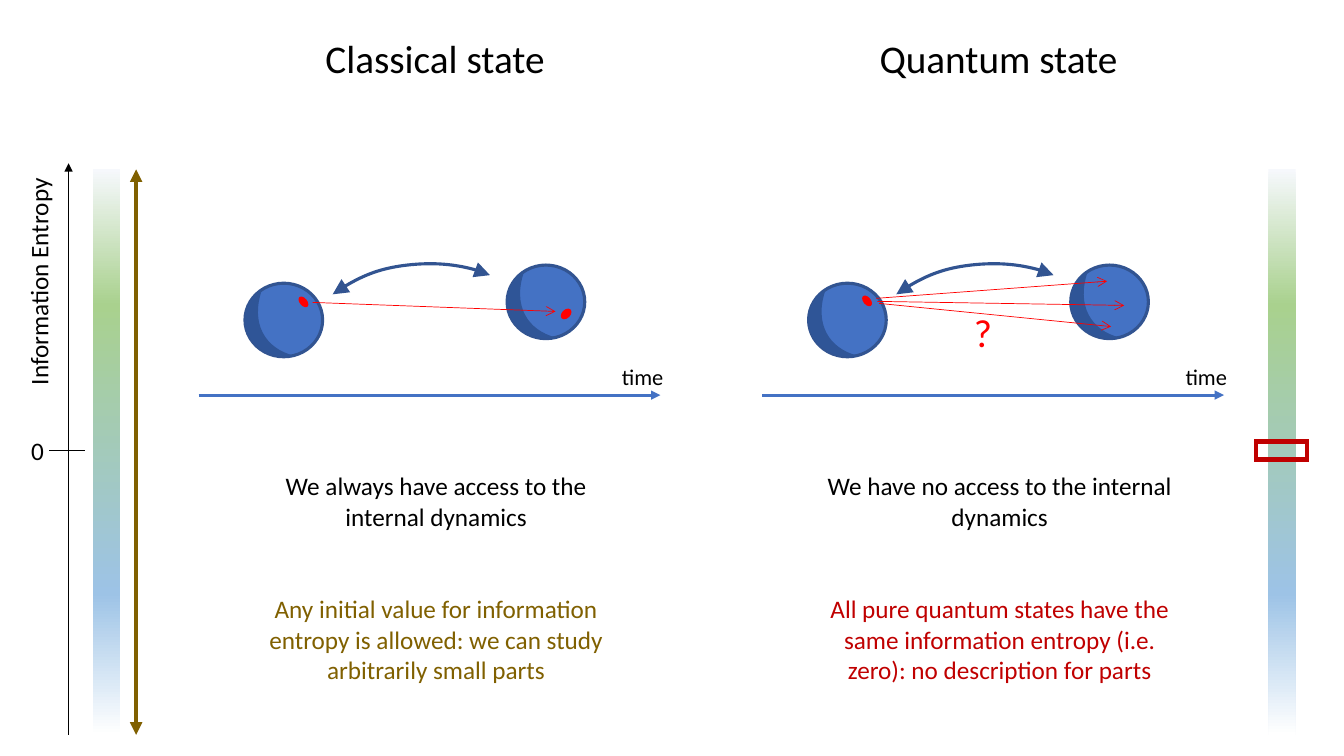
from dataclasses import dataclass

from lxml import etree
from pptx import Presentation
from pptx.dml.color import RGBColor
from pptx.enum.shapes import MSO_CONNECTOR, MSO_SHAPE
from pptx.enum.text import MSO_AUTO_SIZE, PP_ALIGN
from pptx.oxml.ns import qn
from pptx.util import Inches, Pt

RECT, OVAL = MSO_SHAPE.RECTANGLE, MSO_SHAPE.OVAL
STRAIGHT = MSO_CONNECTOR.STRAIGHT
LEFT, CENTER = PP_ALIGN.LEFT, PP_ALIGN.CENTER
GROW = MSO_AUTO_SIZE.SHAPE_TO_FIT_TEXT


@dataclass(frozen=True)
class Theme:
    font: str = "Calibri"
    title: int = 28
    body: int = 18
    small: int = 16
    ink: str = "000000"
    ball: str = "4472C4"
    edge: str = "325491"
    shade: str = "2F5597"
    mark: str = "FF0000"
    gold: str = "806000"
    alert: str = "C00000"
    scale: tuple = ((0, "F6F8FC"), (24, "A9D18E"), (75, "9DC3E6"), (100, "FFFFFF"))


THEME = Theme()

# Each outline: its box (left, top, right, bottom), then a start point
# followed by cubic segments
SHADE_BOX = (0, .06, .49, .73)
SHADE = [(.49, .72),
         (.31, .76), (.13, .68), (.04, .53),
         (-.05, .36), (.01, .16), (.17, .06),
         (.05, .40), (.20, .65), (.49, .72)]
ARC_BOX = (1.33, 0, 2.89, .30)
ARC = [(1.33, .30),
       (1.55, .14), (1.81, .04), (2.07, .01),
       (2.33, -.02), (2.68, .01), (2.89, .11)]


def color(code):
    return RGBColor.from_string(code)


def paint(shape, fill=None, line=None, width=1):
    shape.shadow.inherit = False
    if fill:
        shape.fill.solid()
        shape.fill.fore_color.rgb = color(fill)
    else:
        shape.fill.background()
    if line:
        shape.line.color.rgb = color(line)
        shape.line.width = Pt(width)
    else:
        shape.line.fill.background()


def tips(shape, head=None, tail=None, size="med"):
    """Set the arrowheads at the start (head) and the end (tail)."""
    ln = shape.line._get_or_add_ln()
    for tag, kind in (("a:headEnd", head), ("a:tailEnd", tail)):
        if kind:
            etree.SubElement(ln, qn(tag), type=kind, w=size, len=size)


def add_text(shapes, text, x, y, w, h, size=THEME.body, ink=THEME.ink,
             align=LEFT, wrap=False, turn=0):
    box = shapes.add_textbox(Inches(x), Inches(y), Inches(w), Inches(h))
    box.rotation = turn
    frame = box.text_frame
    frame.word_wrap = wrap
    frame.auto_size = GROW
    para = frame.paragraphs[0]
    para.alignment = align
    run = para.add_run()
    run.text = text
    run.font.name = THEME.font
    run.font.size = Pt(size)
    run.font.color.rgb = color(ink)


def add_line(shapes, start, end, ink, width, head=None, tail=None):
    ends = [Inches(v) for v in (*start, *end)]
    line = shapes.add_connector(STRAIGHT, *ends)
    line.line.color.rgb = color(ink)
    line.line.width = Pt(width)
    tips(line, head, tail)
    etree.SubElement(line._element.spPr, qn("a:effectLst"))


def add_shape(shapes, kind, x, y, w, h, turn=0, **look):
    shape = shapes.add_shape(kind, Inches(x), Inches(y), Inches(w), Inches(h))
    shape.rotation = turn
    paint(shape, **look)
    return shape


def add_curve(shapes, box, nodes, x, y, close=False, **look):
    """Draw cubic segments inside a freeform that spans the box."""
    left, top, right, bottom = box
    form = shapes.build_freeform(Inches(x + left), Inches(y + top))
    form.add_line_segments([(Inches(x + right), Inches(y + bottom))], close=False)
    shape = form.convert_to_shape()
    track = shape._element.spPr.find(".//" + qn("a:path"))
    for step in list(track):
        track.remove(step)
    for i, (px, py) in enumerate(nodes):
        if i == 0:
            step = etree.SubElement(track, qn("a:moveTo"))
        elif i % 3 == 1:
            step = etree.SubElement(track, qn("a:cubicBezTo"))
        etree.SubElement(step, qn("a:pt"), x=str(Inches(px - left)),
                         y=str(Inches(py - top)))
    if close:
        etree.SubElement(track, qn("a:close"))
    paint(shape, **look)
    return shape


def add_ball(shapes, x, y):
    add_shape(shapes, OVAL, x, y, .77, .73,
              fill=THEME.ball, line=THEME.edge, width=2.25)
    add_curve(shapes, SHADE_BOX, SHADE, x, y, close=True, fill=THEME.shade)


def add_scene(slide, x, y, marks, rays, query=False):
    """Two balls over a time axis, with red marks and rays."""
    shapes = slide.shapes.add_group_shape().shapes
    add_ball(shapes, x + .46, y + .19)
    add_ball(shapes, x + 3.06, y + .01)
    arc = add_curve(shapes, ARC_BOX, ARC, x, y, line=THEME.edge, width=2.25)
    tips(arc, "triangle", "triangle", size="lg")
    add_line(shapes, (x, y + 1.3), (x + 4.58, y + 1.3), THEME.ball, 2.25,
             tail="triangle")
    add_text(shapes, "time", x + 4.1, y + .93, .62, .37, size=THEME.small)
    for mx, my, wide, turn in marks:
        add_shape(shapes, OVAL, x + mx, y + my, wide, .11, turn=turn,
                  fill=THEME.mark, line=THEME.mark)
    for ax, ay, bx, by in rays:
        add_line(shapes, (x + ax, y + ay), (x + bx, y + by), THEME.mark, .5,
                 tail="arrow")
    if query:
        add_text(shapes, "?", x + 2, y + .39, .38, .57,
                 size=THEME.title, ink=THEME.mark)


def add_panel(slide, x, y, title, wide, access, result, ink, **scene):
    """One state: title of the given width, scene and two remarks."""
    shapes = slide.shapes
    add_text(shapes, title, x + 2.36 - wide / 2, y, wide, .57, size=THEME.title)
    add_scene(slide, x, y + 2.33, **scene)
    add_text(shapes, access, x + .45, y + 4.33, 3.81, .71, align=CENTER, wrap=True)
    add_text(shapes, result, x + .45, y + 5.55, 3.81, 1.01, ink=ink,
             align=CENTER, wrap=True)


def add_scale(slide, x, y):
    bar = add_shape(slide.shapes, RECT, x, y, .27, 5.61)
    bar.fill.gradient()
    bar.fill.gradient_angle = 270
    stops = bar._element.spPr.find(".//" + qn("a:gsLst"))
    for stop in list(stops):
        stops.remove(stop)
    for pos, code in THEME.scale:
        stop = etree.SubElement(stops, qn("a:gs"), pos=str(pos * 1000))
        etree.SubElement(stop, qn("a:srgbClr"), val=code)


def add_axis(slide, x, y):
    """Entropy axis with its zero tick, colour scale and full range."""
    shapes = slide.shapes
    base, zero = y + 5.67, y + 2.85
    add_scale(slide, x + .24, y + .06)
    add_line(shapes, (x, base), (x, y), THEME.ink, .5, tail="triangle")
    add_line(shapes, (x - .19, zero), (x + .16, zero), THEME.ink, .5)
    add_text(shapes, "0", x - .47, zero - .2, .33, .4)
    add_line(shapes, (x + .67, y + .06), (x + .67, base), THEME.gold, 3,
             head="triangle", tail="triangle")
    add_text(shapes, "Information Entropy", x - 1.44, y + .96, 2.28, .4, turn=270)


def add_zero(slide, x, y):
    """Sharp-cornered frame round the zero of the right scale."""
    frame = add_shape(slide.shapes, RECT, x, y, .5, .18, line=THEME.alert, width=3)
    etree.SubElement(frame.line._get_or_add_ln(), qn("a:miter"), lim="800000")


def main():
    deck = Presentation()
    deck.slide_width, deck.slide_height = Inches(13.33), Inches(7.5)
    slide = deck.slides.add_slide(deck.slide_layouts[6])
    add_axis(slide, .68, 1.62)
    add_scale(slide, 12.58, 1.68)
    add_zero(slide, 12.46, 4.38)
    add_panel(slide, 1.97, .29, "Classical state", 2.4,
              "We always have access to the internal dynamics",
              "Any initial value for information entropy is allowed: "
              "we can study arbitrarily small parts", THEME.gold,
              marks=[(1.01, .32, .06, 320), (3.61, .44, .07, 45)],
              rays=[(1.13, .38, 3.54, .47)])
    add_panel(slide, 7.56, .29, "Quantum state", 2.59,
              "We have no access to the internal dynamics",
              "All pure quantum states have the same information entropy "
              "(i.e. zero): no description for parts", THEME.alert,
              marks=[(1.01, .31, .06, 320)],
              rays=[(1.14, .37, 3.59, .41), (1.16, .39, 3.46, .62),
                    (1.13, .34, 3.42, .17)],
              query=True)
    deck.save("out.pptx")


if __name__ == "__main__":
    main()
